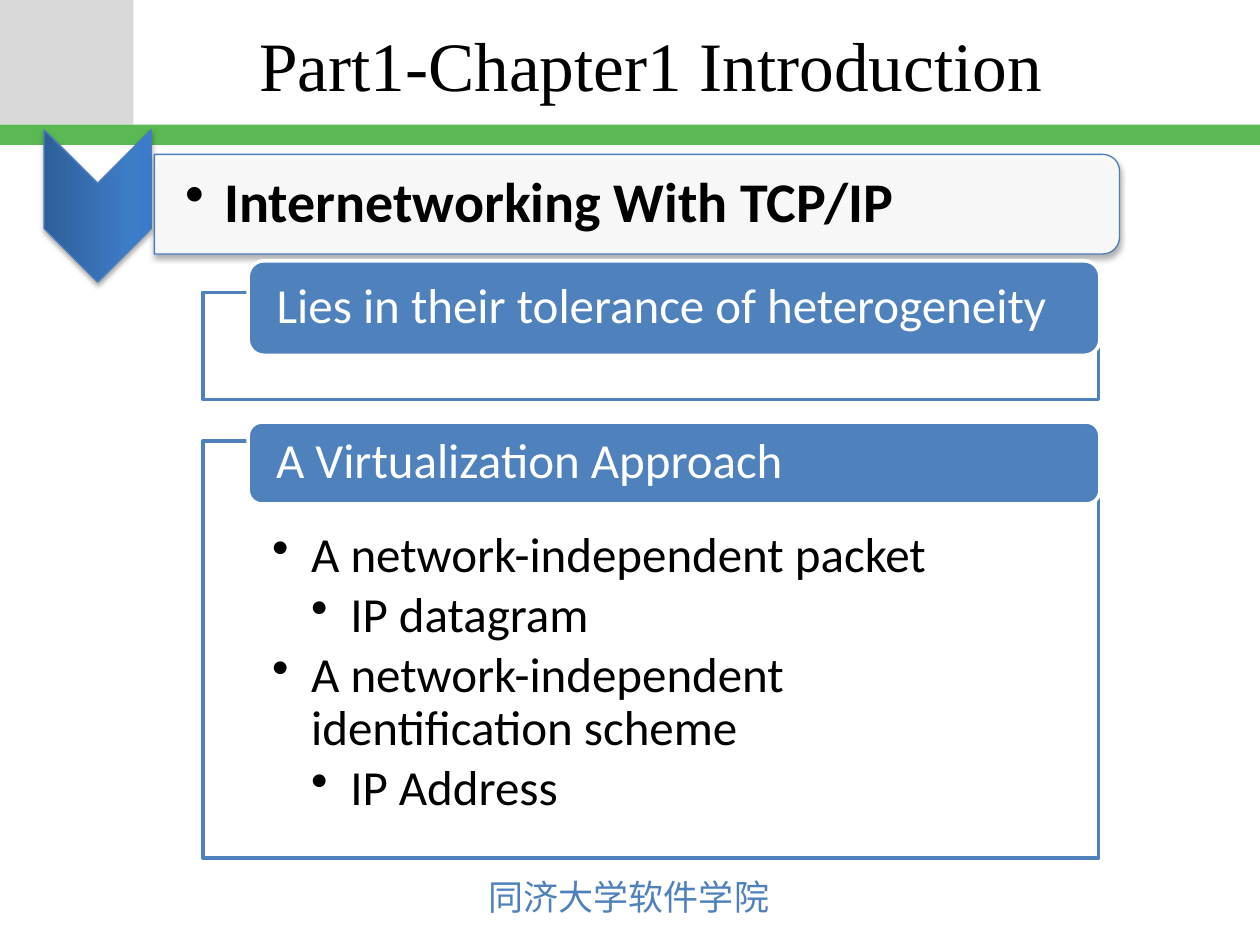
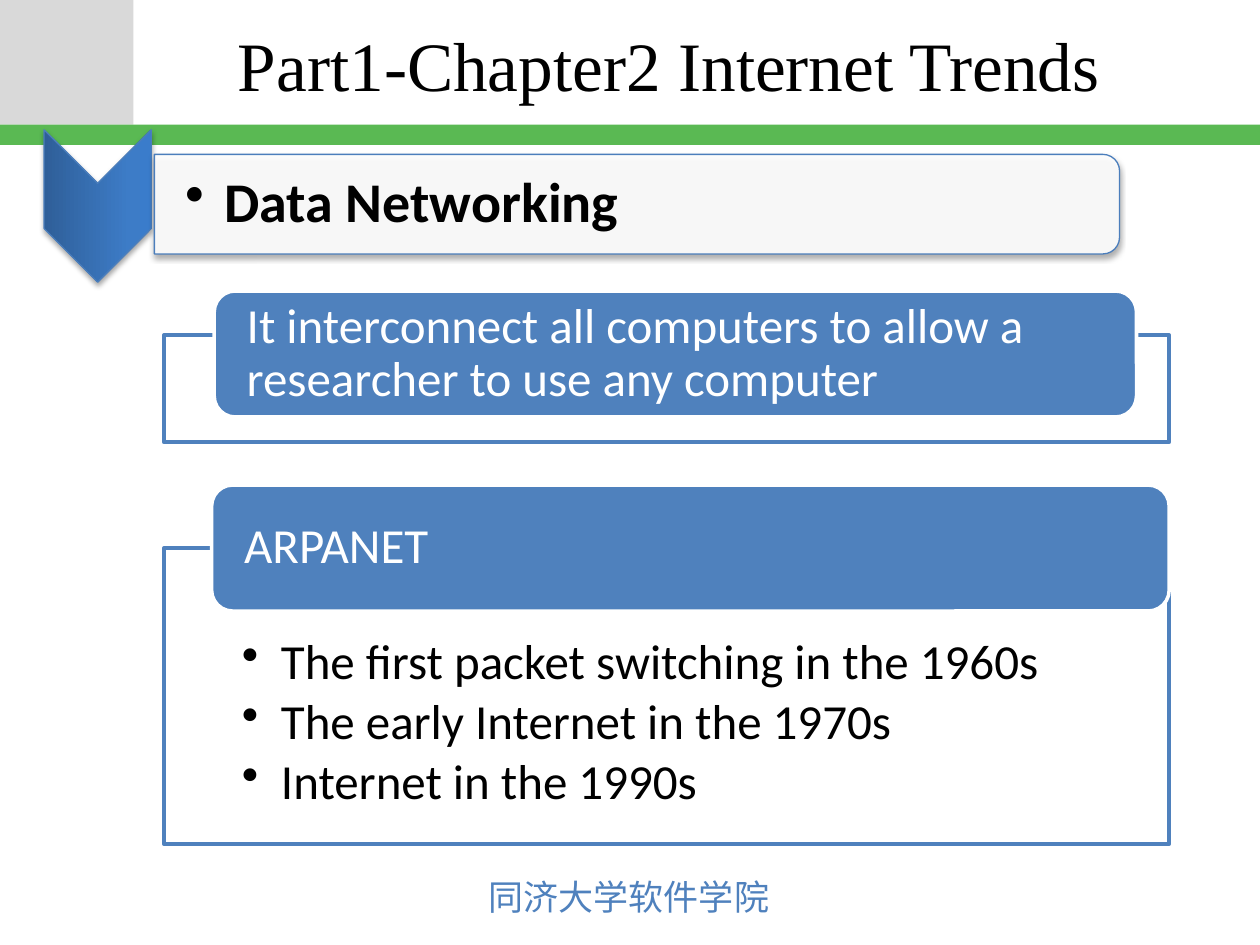
from dataclasses import dataclass

import pptx
import pptx.dml.color
import pptx.enum.shapes
import pptx.enum.text
import pptx.oxml
import pptx.oxml.ns
import pptx.util
from lxml import etree

Inches = pptx.util.Inches
Pt = pptx.util.Pt
qn = pptx.oxml.ns.qn
Kind = pptx.enum.shapes.MSO_SHAPE
Anchor = pptx.enum.text.MSO_ANCHOR

# Shared look
GREY, GREEN, BLUE, EDGE = "D9D9D9", "5AB953", "4F81BD", "4B7EBC"
WHITE, BLACK = "FFFFFF", "000000"
ARROW_STOPS = ((0, "2F5F99"), (80, "3D7CC7"), (100, "3A7CCB"))
TITLE_FONT, BODY_FONT, FOOTER_FONT = "Times New Roman", "Calibri", "Noto Sans CJK JP"
FOOTER = "同济大学软件学院"
BULLET_INDENT = 0.31


@dataclass
class Frame:
    left: float
    top: float
    width: float
    height: float

    def lengths(self):
        return [Inches(v) for v in (self.left, self.top, self.width, self.height)]


@dataclass
class Line:
    text: str
    level: int = 0  # 0 has no bullet


@dataclass
class Section:
    """A blue tab on the top edge of an outlined panel."""
    tab: Frame
    label: str
    panel: Frame
    items: tuple = ()


@dataclass
class Topic:
    title: str
    title_width: float
    heading: str
    tab_inset: float
    panel_inset: float
    sections: tuple


TOPICS = (
    Topic("Part1-Chapter1 Introduction", 6.85, "Internetworking With TCP/IP", 0.19, 0.55, (
        Section(Frame(1.97, 2.07, 6.76, 0.75), "Lies in their tolerance of heterogeneity",
                Frame(1.61, 2.32, 7.11, 0.85)),
        Section(Frame(1.97, 3.35, 6.76, 0.65), "A Virtualization Approach",
                Frame(1.61, 3.5, 7.11, 3.31),
                (Line("A network-independent packet", 1),
                 Line("IP datagram", 2),
                 Line("A network-independent identification scheme", 1),
                 Line("IP Address", 2))),
    )),
    Topic("Part1-Chapter2 Internet Trends", 7.14, "Data Networking", 0.21, 0.62, (
        Section(Frame(1.7, 2.31, 7.32, 1),
                "It interconnect all computers to allow a researcher to use any computer",
                Frame(1.3, 2.66, 7.98, 0.85)),
        Section(Frame(1.68, 3.85, 7.6, 1), "ARPANET",
                Frame(1.3, 4.35, 7.98, 2.35),
                (Line("The first packet switching in the 1960s", 1),
                 Line("The early Internet in the 1970s", 1),
                 Line("Internet in the 1990s", 1))),
    )),
)


def colour(value: str) -> pptx.dml.color.RGBColor:
    return pptx.dml.color.RGBColor.from_string(value)


def format_run(span, font: str, size: float, tint: str, bold: bool = False) -> None:
    span.font.name = font
    span.font.size = Pt(size)
    span.font.bold = bold
    span.font.color.rgb = colour(tint)


def add_box(page, kind, frame: Frame, fill: str, line: str = "", weight: float = 0,
            opacity: int = 100):
    box = page.shapes.add_shape(kind, *frame.lengths())
    box.shadow.inherit = False
    box.fill.solid()
    box.fill.fore_color.rgb = colour(fill)
    if opacity < 100:
        fill_colour = box._element.spPr.find(".//" + qn("a:srgbClr"))
        etree.SubElement(fill_colour, qn("a:alpha"), val=str(opacity * 1000))
    if line:
        box.line.color.rgb = colour(line)
        box.line.width = Pt(weight)
    else:
        box.line.fill.background()
    return box


def add_shadow(box) -> None:
    effects = box._element.spPr.find(qn("a:effectLst"))
    shadow = etree.SubElement(effects, qn("a:outerShdw"), blurRad=str(Pt(3.1)),
                              dist=str(Pt(1.8)), dir="5400000", rotWithShape="0")
    tint = etree.SubElement(shadow, qn("a:srgbClr"), val=BLACK)
    etree.SubElement(tint, qn("a:alpha"), val="35000")


def set_gradient(box, stops: tuple, angle: float) -> None:
    box.fill.gradient()
    box.fill.gradient_angle = angle
    stop_list = box._element.spPr.find(".//" + qn("a:gsLst"))
    stop_list.clear()
    for place, tint in stops:
        stop = etree.SubElement(stop_list, qn("a:gs"), pos=str(place * 1000))
        etree.SubElement(stop, qn("a:srgbClr"), val=tint)


def write_lines(box, lines: tuple, insets: tuple, anchor, size: float, tint: str,
                bold: bool = False) -> None:
    frame = box.text_frame
    frame.word_wrap = True
    frame.vertical_anchor = anchor
    (frame.margin_left, frame.margin_top,
     frame.margin_right, frame.margin_bottom) = [Inches(v) for v in insets]
    frame.text = "\n".join(line.text for line in lines)
    for para, line in zip(frame.paragraphs, lines):
        para.alignment = pptx.enum.text.PP_ALIGN.LEFT
        para.line_spacing = 0.9
        if line.level:
            para.level = line.level
            para.space_after = Pt(4)
            properties = para._p.get_or_add_pPr()
            properties.set("marL", str(Inches(BULLET_INDENT * line.level)))
            properties.set("indent", str(-Inches(BULLET_INDENT)))
            etree.SubElement(properties, qn("a:buChar"), char="•")
        for span in para.runs:
            format_run(span, BODY_FONT, size, tint, bold)


def draw_frame(page) -> None:
    """Grey corner, green band and footer."""
    add_box(page, Kind.RECTANGLE, Frame(0, 0, 1.06, 0.99), GREY)
    add_box(page, Kind.RECTANGLE, Frame(0, 0.99, 10, 0.16), GREEN)
    footer = page.shapes.add_textbox(*Frame(3.78, 6.9, 2.45, 0.44).lengths())
    footer.text_frame.word_wrap = False
    footer.text_frame.text = FOOTER
    span = footer.text_frame.paragraphs[0].runs[0]
    format_run(span, FOOTER_FONT, 20, BLUE)
    etree.SubElement(span._r.get_or_add_rPr(), qn("a:ea"), typeface=FOOTER_FONT)


def draw_title(page, text: str, width: float) -> None:
    title = page.shapes.title
    title.left, title.top, title.width, title.height = Frame(1.74, 0.02, width, 0.98).lengths()
    title.text_frame.text = text
    title.text_frame.auto_size = pptx.enum.text.MSO_AUTO_SIZE.NONE
    title.text_frame.vertical_anchor = Anchor.MIDDLE
    para = title.text_frame.paragraphs[0]
    para.alignment = pptx.enum.text.PP_ALIGN.CENTER
    format_run(para.runs[0], TITLE_FONT, 39.6, BLACK)


def draw_heading(page, text: str) -> None:
    """Downward arrow beside a bar rounded on its right."""
    arrow = add_box(page, Kind.CHEVRON, Frame(0.17, 1.21, 1.21, 0.85), BLUE, EDGE, 0.75)
    set_gradient(arrow, ARROW_STOPS, 90)
    bar = add_box(page, Kind.ROUND_2_SAME_RECTANGLE, Frame(4.66, -2.21, 0.79, 7.66),
                  WHITE, EDGE, 0.75, opacity=90)
    for box in (arrow, bar):
        box.rotation = 90
        add_shadow(box)
    label = page.shapes.add_textbox(*Frame(1.22, 1.27, 7.63, 0.71).lengths())
    write_lines(label, (Line(text, 1),), (0.25, 0.02, 0.02, 0.02), Anchor.MIDDLE,
                32, BLACK, bold=True)


def draw_section(page, section: Section, tab_inset: float, panel_inset: float) -> None:
    panel = add_box(page, Kind.RECTANGLE, section.panel, WHITE, BLUE, 2, opacity=90)
    if section.items:
        write_lines(panel, section.items, (panel_inset, 0.71, panel_inset, 0.22),
                    Anchor.TOP, 28, BLACK)
    tab = add_box(page, Kind.ROUNDED_RECTANGLE, section.tab, BLUE, WHITE, 2)
    write_lines(tab, (Line(section.label),), (tab_inset, 0, tab_inset, 0),
                Anchor.MIDDLE, 28, WHITE)


def main() -> None:
    deck = pptx.Presentation()
    deck.slide_width, deck.slide_height = Inches(10), Inches(7.5)
    title_only = deck.slide_layouts[5]
    for topic in TOPICS:
        page = deck.slides.add_slide(title_only)
        draw_frame(page)
        draw_title(page, topic.title, topic.title_width)
        draw_heading(page, topic.heading)
        for section in topic.sections:
            draw_section(page, section, topic.tab_inset, topic.panel_inset)
    deck.save("out.pptx")


if __name__ == "__main__":
    main()
